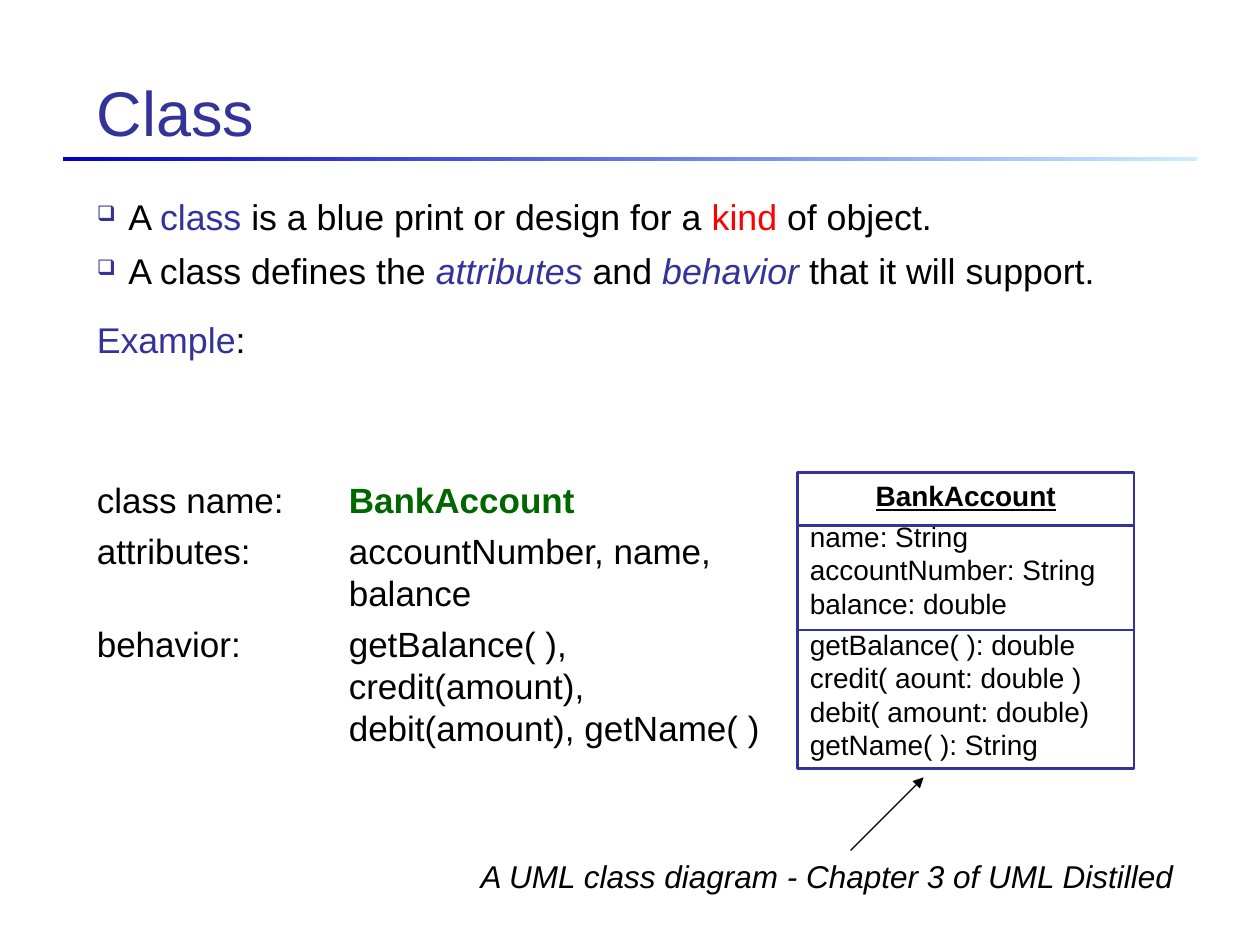
from lxml import etree
from pptx import Presentation
from pptx.dml.color import RGBColor
from pptx.enum.shapes import MSO_CONNECTOR, MSO_SHAPE
from pptx.enum.text import MSO_ANCHOR, PP_ALIGN
from pptx.oxml.ns import qn
from pptx.util import Inches, Pt

INDIGO = RGBColor(0x33, 0x33, 0x99)
BLUE = RGBColor(0x00, 0x00, 0xCC)
PALE_BLUE = RGBColor(0xCC, 0xEC, 0xFF)
BLACK = RGBColor(0x00, 0x00, 0x00)
RED = RGBColor(0xFF, 0x00, 0x00)
GREEN = RGBColor(0x00, 0x66, 0x00)

deck = Presentation()
deck.slide_width, deck.slide_height = Inches(10), Inches(7.5)
page = deck.slides.add_slide(deck.slide_layouts[6])


def write(box, paragraphs, size, color=BLACK, indent=0, bullets=0):
    """Fill a box with (space before, [(text, font settings), ...]) paragraphs."""
    frame = box.text_frame
    frame.word_wrap = True
    for index, (space, spans) in enumerate(paragraphs):
        para = frame.add_paragraph() if index else frame.paragraphs[0]
        para.alignment = PP_ALIGN.LEFT
        para.space_before = Pt(space)
        props = para._p.get_or_add_pPr()
        props.set("marL", str(Inches(indent)))
        props.set("indent", str(-Inches(indent)))
        if index < bullets:
            bullet_color = etree.SubElement(props, qn("a:buClr"))
            etree.SubElement(bullet_color, qn("a:srgbClr"), val=str(INDIGO))
            etree.SubElement(props, qn("a:buSzPct"), val="60000")
            etree.SubElement(props, qn("a:buChar"), char="❑")
        para.font.name, para.font.size = "Arial", Pt(size)
        para.font.color.rgb = color
        for text, settings in spans:
            span = para.add_run()
            span.text = text
            for key, value in settings.items():
                if key == "color":
                    span.font.color.rgb = value
                else:
                    setattr(span.font, key, value)


def draw_line(shapes, x1, y1, x2, y2, color, width):
    line = shapes.add_connector(MSO_CONNECTOR.STRAIGHT, Inches(x1), Inches(y1),
                                Inches(x2), Inches(y2))
    line.line.color.rgb, line.line.width = color, Pt(width)
    etree.SubElement(line._element.spPr, qn("a:effectLst"))
    return line


# Rule under the title
rule = page.shapes.add_shape(MSO_SHAPE.RECTANGLE, Inches(0.5), Inches(1.25),
                             Inches(9), Inches(0.03))
rule.shadow.inherit = False
rule.line.fill.background()
rule.fill.gradient()
rule.fill.gradient_angle = 0
for stop, color in zip(rule.fill.gradient_stops, (BLUE, PALE_BLUE)):
    stop.color.rgb = color

# Title
title = page.shapes.add_textbox(Inches(0.67), Inches(0.28), Inches(8.66), Inches(0.95))
title.text_frame.vertical_anchor = MSO_ANCHOR.BOTTOM
write(title, [(0, [("Class", {})])], 36, INDIGO)

# Definition
term = {"color": INDIGO}
term_italic = {"color": INDIGO, "italic": True}
body = page.shapes.add_textbox(Inches(0.67), Inches(1.5), Inches(8.66), Inches(2.08))
write(body, [
    (0, [("A ", {}), ("class", term), (" is a blue print or design for a ", {}),
         ("kind", {"color": RED}), (" of object.", {})]),
    (6, [("A class defines the ", {}), ("attributes", term_italic), (" and ", {}),
         ("behavior", term_italic), (" that it will support.", {})]),
    (15, [("Example", term), (":", {})]),
], 20.4, indent=0.25, bullets=2)

# Example, with the values hanging at a two-inch indent
example = page.shapes.add_textbox(Inches(0.67), Inches(3.75), Inches(5.83), Inches(2.24))
write(example, [
    (0, [("class name:\t", {}), ("BankAccount", {"color": GREEN, "bold": True})]),
    (5, [("attributes:\taccountNumber, name, balance", {})]),
    (5, [("behavior:\tgetBalance( ), credit(amount), debit(amount), getName( )", {})]),
], 20, indent=2)

# UML class diagram
diagram = page.shapes.add_group_shape()
class_box = diagram.shapes.add_shape(MSO_SHAPE.RECTANGLE, Inches(6.33), Inches(3.75),
                                     Inches(2.67), Inches(2.35))
class_box.shadow.inherit = False
class_box.fill.background()
class_box.line.color.rgb, class_box.line.width = INDIGO, Pt(1.5)
class_box.text_frame.vertical_anchor = MSO_ANCHOR.TOP
compartments = [
    ["name: String", "accountNumber: String", "balance: double"],
    ["getBalance( ): double", "credit( aount: double )", "debit( amount: double)",
     "getName( ): String"],
]
members = [(0 if index else 4, [(member, {})])
           for group in compartments for index, member in enumerate(group)]
heading = (0, [("BankAccount", {"bold": True, "underline": True})])
write(class_box, [heading] + members, 16)
class_box.text_frame.paragraphs[0].alignment = PP_ALIGN.CENTER
for y in (4.17, 5):
    draw_line(diagram.shapes, 6.33, y, 9, y, INDIGO, 1.5)

# Caption and its arrow
arrow = draw_line(page.shapes, 6.75, 6.75, 7.33, 6.17, BLACK, 0.75)
etree.SubElement(arrow.line._get_or_add_ln(), qn("a:tailEnd"), type="triangle")
caption = page.shapes.add_textbox(Inches(2.83), Inches(6.75), Inches(6.58), Inches(0.4))
write(caption, [(0, [("A UML class diagram - Chapter 3 of UML Distilled",
                      {"italic": True})])], 18)
caption.text_frame.paragraphs[0].alignment = PP_ALIGN.RIGHT

deck.save("out.pptx")
